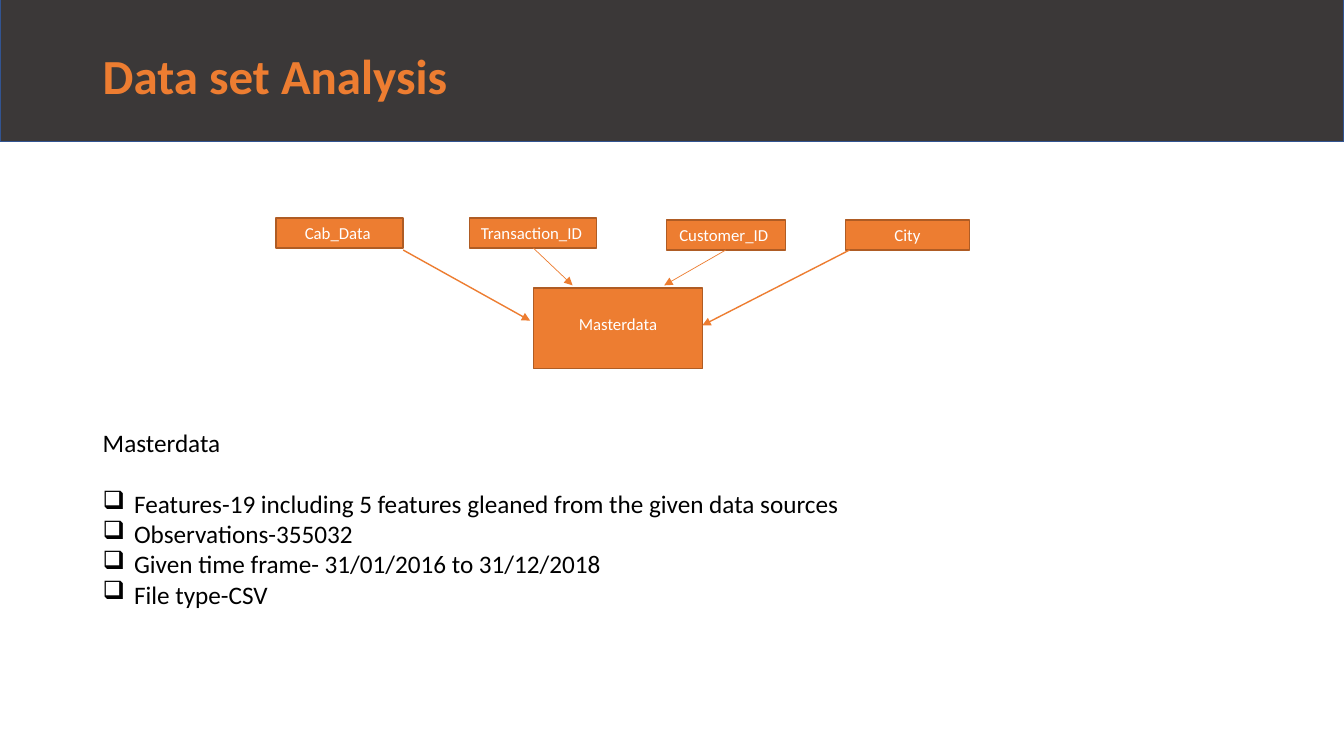
from dataclasses import dataclass
from lxml import etree
from pptx import Presentation
from pptx.dml.color import RGBColor
from pptx.enum.shapes import MSO_CONNECTOR, MSO_SHAPE
from pptx.enum.text import MSO_ANCHOR, PP_ALIGN
from pptx.oxml.ns import qn
from pptx.util import Cm, Pt

RECT = MSO_SHAPE.RECTANGLE
STRAIGHT = MSO_CONNECTOR.STRAIGHT
TOP, MIDDLE = MSO_ANCHOR.TOP, MSO_ANCHOR.MIDDLE
CENTER = PP_ALIGN.CENTER


@dataclass
class Theme:
    font: str = "Calibri"
    accent: RGBColor = RGBColor(0xED, 0x7D, 0x31)
    accent_edge: RGBColor = RGBColor(0xAF, 0x5C, 0x24)
    band: RGBColor = RGBColor(0x3B, 0x38, 0x38)
    band_edge: RGBColor = RGBColor(0x32, 0x54, 0x91)
    light: RGBColor = RGBColor(0xFF, 0xFF, 0xFF)
    dark: RGBColor = RGBColor(0, 0, 0)
    title_size: float = 35
    body_size: float = 18
    box_size: float = 12


theme = Theme()


def add_rect(x, y, w, h, fill, edge):
    sp = s.shapes.add_shape(RECT, Cm(x), Cm(y), Cm(w), Cm(h))
    sp.shadow.inherit = False
    sp.fill.solid()
    sp.fill.fore_color.rgb = fill
    sp.line.color.rgb = edge
    sp.line.width = Pt(1)
    return sp


def write(p, text, size, color, bold=False):
    p.text = text
    font = p.runs[0].font
    font.name = theme.font
    font.size = Pt(size)
    font.color.rgb = color
    font.bold = bold


prs = Presentation()
prs.slide_width, prs.slide_height = Cm(33.87), Cm(19.05)
s = prs.slides.add_slide(prs.slide_layouts[6])

add_rect(0, -0.25, 33.87, 3.81, theme.band, theme.band_edge)
title = s.shapes.add_textbox(Cm(2.34), Cm(0.13), Cm(29.21), Cm(3.68))
tf = title.text_frame
tf.word_wrap = True
tf.vertical_anchor = MIDDLE
p = tf.paragraphs[0]
p.line_spacing = 0.9
write(p, "Data set Analysis", theme.title_size, theme.accent, True)

boxes = [
    ("Cab_Data ", 6.96, 5.49, 3.2, 0.76, 0.13),
    ("Transaction_ID ", 11.84, 5.49, 3.2, 0.76, 0.13),
    ("Customer_ID ", 16.79, 5.54, 3.0, 0.76, 0.13),
    ("City", 21.31, 5.54, 3.12, 0.76, 0.13),
    ("Masterdata", 13.44, 7.26, 4.27, 2.03, 0.64),
]
for text, x, y, w, h, inset in boxes:
    tf = add_rect(x, y, w, h, theme.accent, theme.accent_edge).text_frame
    tf.word_wrap = text != "Transaction_ID "
    tf.vertical_anchor = TOP
    tf.margin_top = Cm(inset)
    p = tf.paragraphs[0]
    p.alignment = CENTER
    write(p, text, theme.box_size, theme.light)

arrows = [
    (10.16, 6.3, 13.36, 8.08, 1),
    (21.41, 6.3, 17.7, 8.2, 1),
    (13.44, 6.25, 14.43, 7.19, 0.5),
    (18.29, 6.3, 16.74, 7.19, 0.5),
]
for x1, y1, x2, y2, width in arrows:
    cx = s.shapes.add_connector(STRAIGHT, Cm(x1), Cm(y1), Cm(x2), Cm(y2))
    cx.line.color.rgb = theme.accent
    cx.line.width = Pt(width)
    etree.SubElement(cx.line._get_or_add_ln(), qn("a:tailEnd"), type="triangle")
    etree.SubElement(cx._element.spPr, qn("a:effectLst"))

facts = [
    "Features-19 including 5 features gleaned from the given data sources",
    "Observations-355032",
    "Given time frame- 31/01/2016\u00a0to\u00a031/12/2018",
    "File type-CSV ",
]
summary = s.shapes.add_textbox(Cm(2.34), Cm(10.64), Cm(25.43), Cm(4.88))
tf = summary.text_frame
tf.word_wrap = True
p = tf.paragraphs[0]
p.space_after = Pt(22)
write(p, "Masterdata", theme.body_size, theme.dark)
for fact in facts:
    p = tf.add_paragraph()
    write(p, fact, theme.body_size, theme.dark)
    pPr = p._p.get_or_add_pPr()
    pPr.set("marL", str(Cm(0.79)))
    pPr.set("indent", str(-Cm(0.79)))
    etree.SubElement(pPr, qn("a:buChar"), char="❑")

prs.save("out.pptx")
